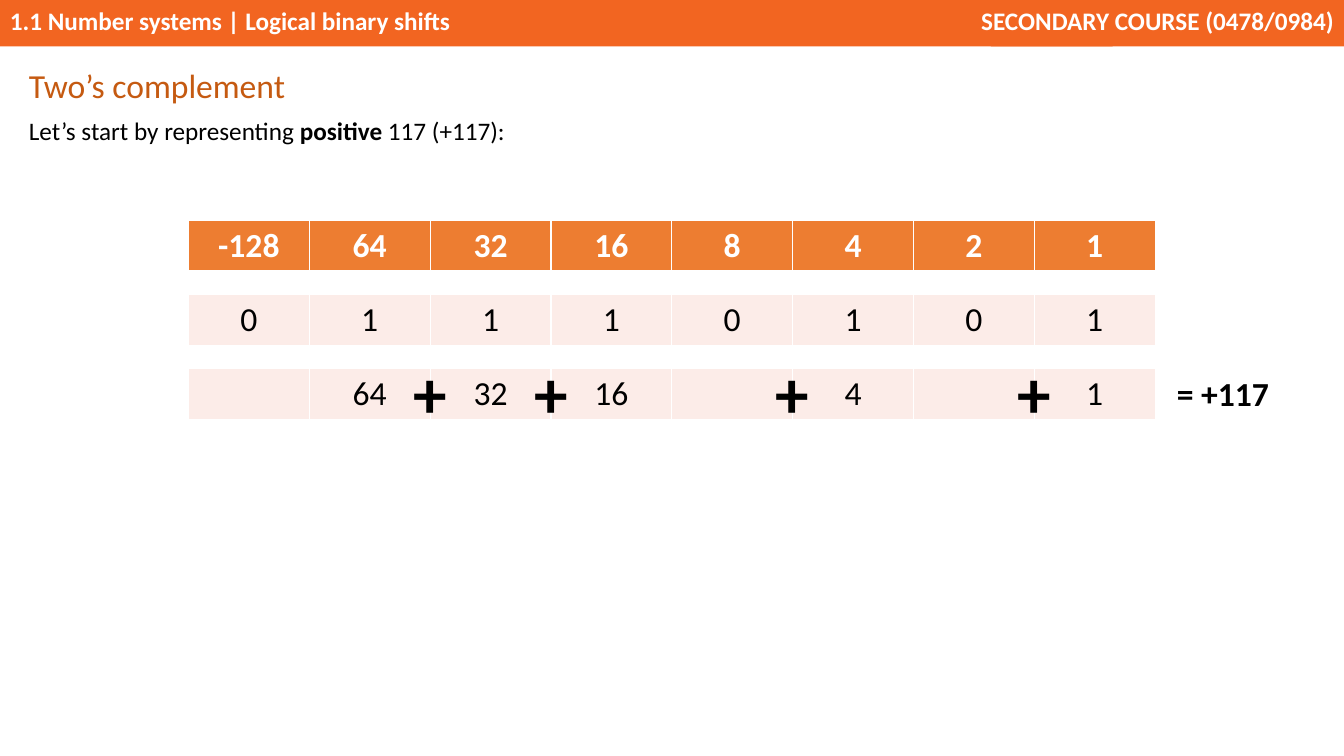
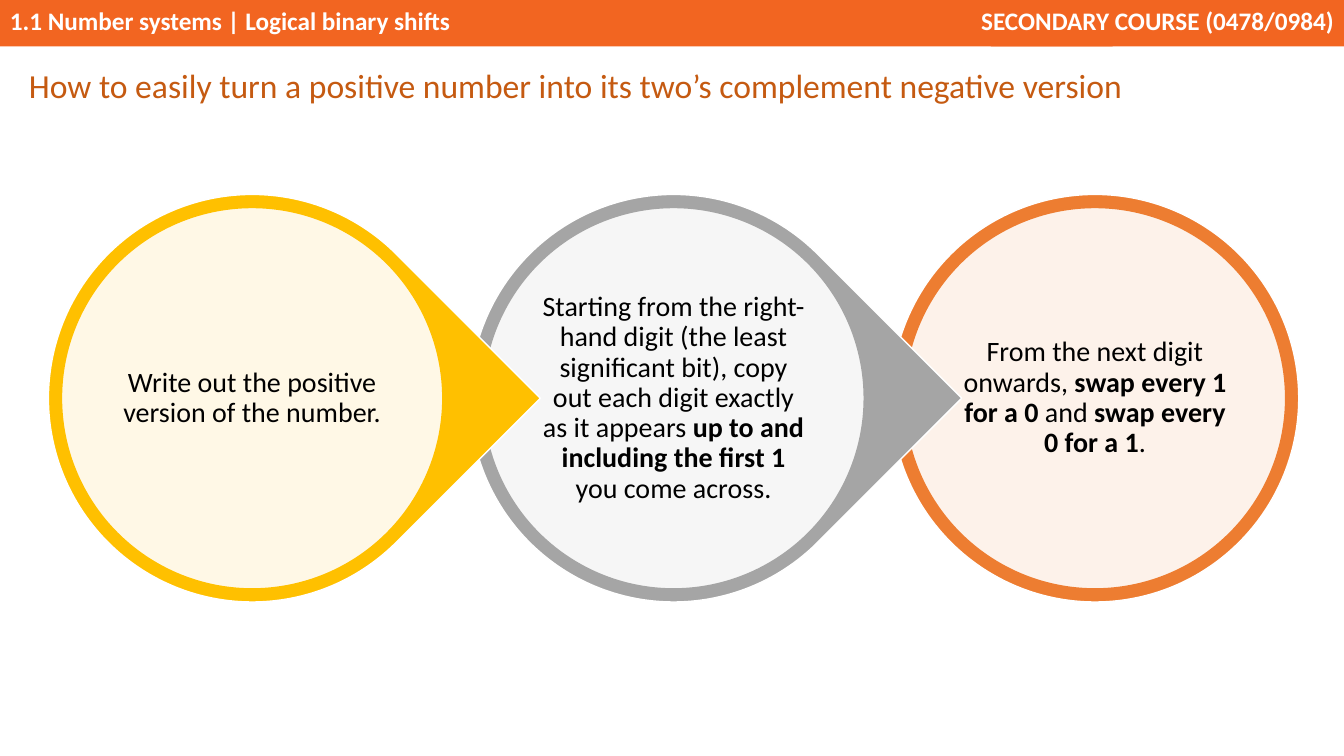
import pptx
import pptx.util
import pptx.dml.color
import pptx.enum.shapes
import pptx.enum.text
import pptx.oxml.ns
from lxml import etree

Cm, Pt = pptx.util.Cm, pptx.util.Pt
RGBColor = pptx.dml.color.RGBColor
SHAPE = pptx.enum.shapes.MSO_SHAPE
ALIGN = pptx.enum.text.PP_ALIGN
ANCHOR = pptx.enum.text.MSO_ANCHOR
qn = pptx.oxml.ns.qn

WHITE = RGBColor(0xFF, 0xFF, 0xFF)
BLACK = RGBColor(0x00, 0x00, 0x00)
BAND = RGBColor(0xF2, 0x65, 0x21)
TITLE = RGBColor(0xC5, 0x5A, 0x11)
ORANGE = RGBColor(0xED, 0x7D, 0x31)
PALE = RGBColor(0xFC, 0xEC, 0xE8)
GREY = RGBColor(0xA5, 0xA5, 0xA5)
YELLOW = RGBColor(0xFF, 0xC0, 0x00)

WIDTH, HEIGHT = 33.87, 19.05
BAND_HEIGHT = 1.17
TABLE_BOX = (4.75, 5.56, 24.36)
STEPS_BOX = (1.22, 4.9, 31.51)

BAND_TEXT = {"size": Pt(18), "bold": True, "color": WHITE}
TITLE_TEXT = {"size": Pt(24), "color": TITLE}
BODY_TEXT = {"size": Pt(18), "color": BLACK}
STEP_TEXT = {"size": Pt(20), "color": BLACK}
HEAD_TEXT = {"size": Pt(24), "bold": True, "color": WHITE}
DIGIT_TEXT = {"size": Pt(24), "bold": False, "color": BLACK}
RESULT_TEXT = {"size": Pt(24), "bold": True, "color": BLACK}
PLUS_TEXT = {"size": Pt(48), "bold": True, "color": BLACK}

HEADER = ["-128", "64", "32", "16", "8", "4", "2", "1"]
BITS = "01110101"
ROW, GAP = 1.29, 0.57

STEPS = [
    (YELLOW, [("Write out the positive version of the number.", False)]),
    (GREY, [("Starting from the right-hand digit (the least significant bit), "
             "copy out each digit exactly as it appears ", False),
            ("up to and including the first 1 ", True),
            ("you come across.", False)]),
    (ORANGE, [("From the next digit onwards, ", False),
              ("swap every 1 for a 0 ", True),
              ("and ", False),
              ("swap every 0 for a 1", True),
              (".", False)]),
]


def write(tf, runs, style, align=ALIGN.LEFT, spacing=None):
    """Fill the first paragraph with a string or with (text, bold) runs."""
    p = tf.paragraphs[0]
    p.alignment = align
    if spacing:
        p.line_spacing = spacing
    if isinstance(runs, str):
        runs = [(runs, style.get("bold", False))]
    for text, bold in runs:
        r = p.add_run()
        r.text = text
        r.font.color.rgb = style["color"]
        for name, value in {"name": "Calibri", "size": style["size"], "bold": bold}.items():
            setattr(r.font, name, value)


def add_text(s, box, runs, style, align=ALIGN.LEFT, spacing=None, **frame):
    tf = s.shapes.add_textbox(*map(Cm, box)).text_frame
    for name, value in {"word_wrap": True, **frame}.items():
        setattr(tf, name, value)
    write(tf, runs, style, align, spacing)


def add_shape(s, kind, box, fill, line=None):
    sp = s.shapes.add_shape(kind, *map(Cm, box))
    sp.shadow.inherit = False
    sp.fill.solid()
    sp.fill.fore_color.rgb = fill
    if line is None:
        sp.line.fill.background()
    else:
        sp.line.color.rgb = line
        sp.line.width = Pt(1)
    return sp


def add_slide(prs, title):
    """Blank slide with the course band and a title."""
    s = prs.slides.add_slide(prs.slide_layouts[6])
    bands = [
        (0, 28.04, "1.1 Number systems | Logical binary shifts", ALIGN.LEFT),
        (24.97, WIDTH - 24.97, "SECONDARY COURSE (0478/0984)", ALIGN.RIGHT),
    ]
    for left, width, text, align in bands:
        sp = add_shape(s, SHAPE.RECTANGLE, (left, 0, width, BAND_HEIGHT), BAND)
        tf = sp.text_frame
        tf.vertical_anchor = ANCHOR.MIDDLE
        tf.margin_top, tf.margin_bottom = Cm(0.1), Cm(0.23)
        tf.word_wrap = False
        write(tf, text, BAND_TEXT, align)
    add_text(s, (0.48, 1.45, 28.3, 1.3), title, TITLE_TEXT, spacing=1.07, word_wrap=False)
    return s


def format_cell(cell, fill, bottom=1):
    """White borders, then the fill, in the order the file format needs."""
    tc_pr = cell._tc.get_or_add_tcPr()
    for side, points in (("lnL", 1), ("lnR", 1), ("lnT", 1), ("lnB", bottom)):
        ln = etree.SubElement(tc_pr, qn("a:" + side), w=str(Pt(points)))
        solid = etree.SubElement(ln, qn("a:solidFill"))
        etree.SubElement(solid, qn("a:srgbClr"), val=str(WHITE))
    cell.fill.solid()
    cell.fill.fore_color.rgb = fill


def add_place_values(s, left, top, width):
    """Place values, bits and the values that count, with the sum at the right."""
    values = [h if bit == "1" else "" for h, bit in zip(HEADER, BITS)]
    rows = [
        (ROW, HEADER, ORANGE, HEAD_TEXT),
        (GAP, None, WHITE, None),
        (ROW, BITS, PALE, DIGIT_TEXT),
        (GAP, None, WHITE, None),
        (ROW, values, PALE, DIGIT_TEXT),
    ]
    column = width / len(HEADER)
    height = sum(row[0] for row in rows)
    table = s.shapes.add_table(len(rows), len(HEADER), *map(Cm, (left, top, width, height))).table
    table.first_row = table.horz_banding = False
    for col in table.columns:
        col.width = Cm(column)
    for i, (row_height, texts, fill, style) in enumerate(rows):
        table.rows[i].height = Cm(row_height)
        for j in range(len(HEADER)):
            cell = table.cell(i, j)
            format_cell(cell, fill, bottom=3 if i == 0 else 1)
            if texts is None:
                cell.margin_top = cell.margin_bottom = 0
                p = cell.text_frame.paragraphs[0]
                etree.SubElement(p._p, qn("a:endParaRPr"), sz="600")
            elif texts[j]:
                write(cell.text_frame, texts[j], style, ALIGN.CENTER)
        if texts is None:
            table.cell(i, 0).merge(table.cell(i, len(HEADER) - 1))

    last_row = top + height - ROW
    used = [j for j, value in enumerate(values) if value]
    for j in used[1:]:
        add_text(s, (left + j * column - 0.5, last_row - 0.55, 1, 2.31), "+", PLUS_TEXT,
                 ALIGN.CENTER, word_wrap=False, margin_left=0, margin_right=0)
    add_text(s, (left + width + 0.3, last_row, 3.53, 1.27), "= +117", RESULT_TEXT)


def add_step(s, left, top, size, color, runs, last):
    """Ring, pointed at the right unless last, around a pale disc with text."""
    kind = SHAPE.OVAL if last else SHAPE.TEAR
    ring = add_shape(s, kind, (left, top, size, size), color, WHITE)
    if not last:
        ring.adjustments[0] = 1
        ring.rotation = 45

    def inner(inset):
        return left + inset, top + inset, size - 2 * inset, size - 2 * inset

    disc = add_shape(s, SHAPE.OVAL, inner(0.33), WHITE, color)
    clr = disc._element.spPr.find(qn("a:solidFill")).find(qn("a:srgbClr"))
    etree.SubElement(clr, qn("a:alpha"), val="90000")
    margins = {"margin_" + side: Cm(0.07) for side in ("left", "top", "right", "bottom")}
    add_text(s, inner(1.7), runs, STEP_TEXT, ALIGN.CENTER, 0.9,
             vertical_anchor=ANCHOR.MIDDLE, **margins)


def add_steps(s, left, top, width, size=10.27):
    """Equal steps across the box, each pointing over the next one."""
    last = len(STEPS) - 1
    pitch = (width - size) / last
    for i, (color, runs) in reversed(list(enumerate(STEPS))):
        add_step(s, left + i * pitch, top, size, color, runs, i == last)


def main():
    prs = pptx.Presentation()
    prs.slide_width, prs.slide_height = Cm(WIDTH), Cm(HEIGHT)

    s = add_slide(prs, "Two’s complement")
    add_place_values(s, *TABLE_BOX)
    intro = [("Let’s start by representing ", False), ("positive", True), (" 117 (+117):", False)]
    add_text(s, (0.48, 2.77, 31.67, 1.8), intro, BODY_TEXT)

    s = add_slide(prs, "How to easily turn a positive number into its two’s complement negative version")
    add_steps(s, *STEPS_BOX)

    prs.save("out.pptx")


if __name__ == "__main__":
    main()
